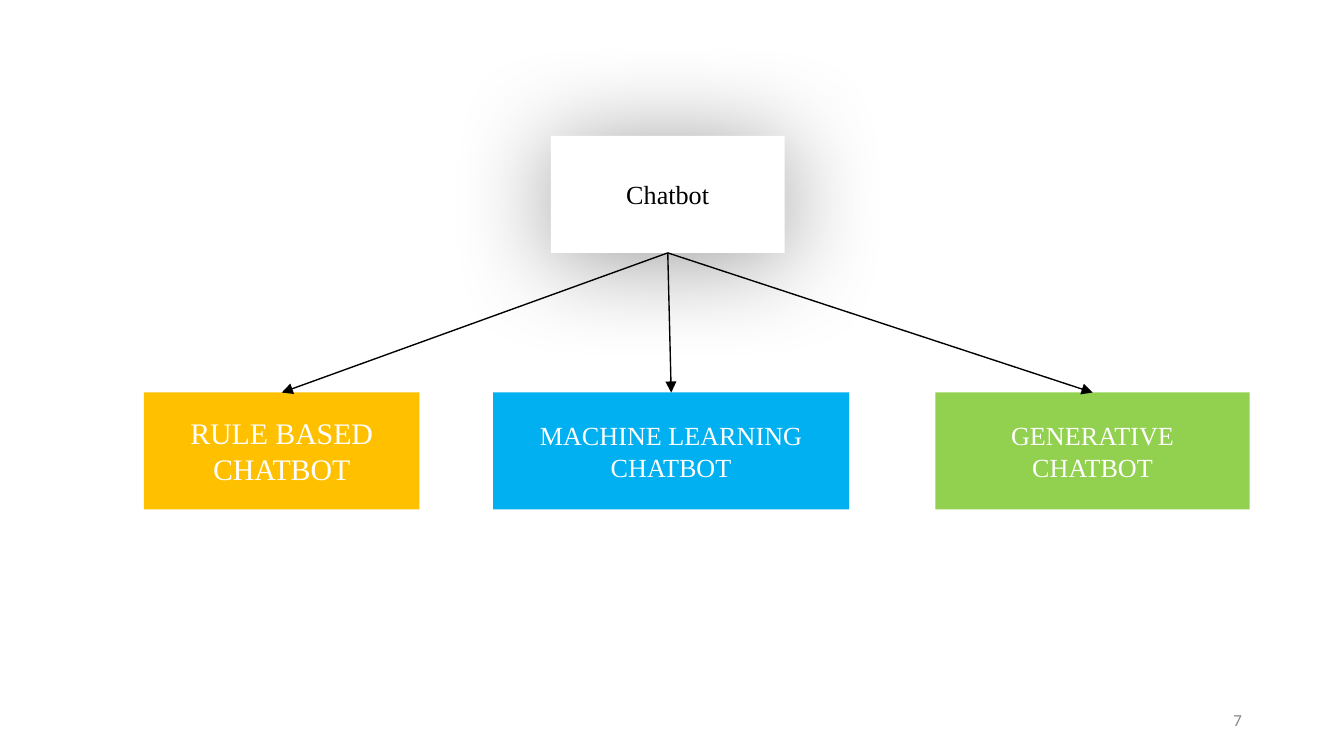
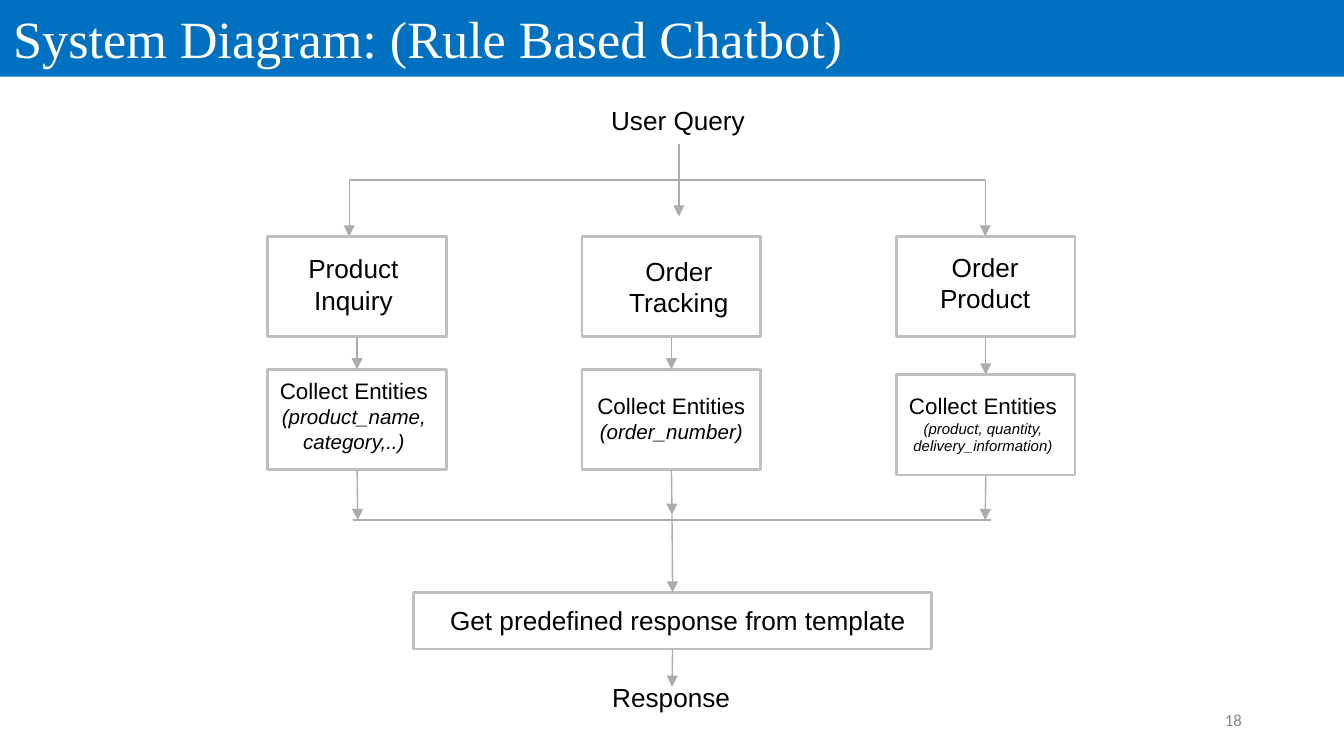
import pptx
import pptx.dml.color
import pptx.enum.shapes
import pptx.enum.text
import pptx.oxml
import pptx.oxml.ns
import pptx.util
from pptx.util import Cm

RGBColor = pptx.dml.color.RGBColor
ALIGN = pptx.enum.text.PP_ALIGN
ANCHOR = pptx.enum.text.MSO_ANCHOR
AUTO_SIZE = pptx.enum.text.MSO_AUTO_SIZE

WHITE = RGBColor(0xFF, 0xFF, 0xFF)
BLACK = RGBColor(0x00, 0x00, 0x00)
BAND_BLUE = RGBColor(0x00, 0x70, 0xC0)
AMBER = RGBColor(0xFF, 0xC0, 0x00)
SKY = RGBColor(0x00, 0xB0, 0xF0)
GREEN = RGBColor(0x92, 0xD0, 0x50)
OUTLINE_GREY = RGBColor(0xBF, 0xBF, 0xBF)
ARROW_GREY = RGBColor(0xAF, 0xAB, 0xAB)
NUMBER_GREY = RGBColor(0x88, 0x88, 0x88)

SERIF = "Times New Roman"
SANS = "Arial"
NUMBER_FONT = "Calibri"

GROWING = {
    "word_wrap": True,
    "vertical_anchor": ANCHOR.TOP,
    "auto_size": AUTO_SIZE.SHAPE_TO_FIT_TEXT,
}
CENTRED = {"word_wrap": True, "vertical_anchor": ANCHOR.MIDDLE}
NUMBER_FRAME = CENTRED | {
    "margin_left": Cm(0.18),
    "margin_right": Cm(0.18),
    "margin_top": Cm(0.1),
    "margin_bottom": Cm(0.1),
}

BOTTOM_SITE = 2
TOP_SITE = 0

COLUMN_LEFT = 5.06
COLUMN_STEP = 5.94
STEP_WIDTH = 3.38
STEP_HEIGHT = 1.9
INTENT_TOP = 4.47
SPLIT_Y = 3.4
MERGE_Y = 9.83
CENTRE_X = 12.7


def apply(target, values):
    for name, value in values.items():
        setattr(target, name, value)


def drawing_element(tag, **attributes):
    element = pptx.oxml.parse_xml(
        f"<a:{tag} {pptx.oxml.ns.nsdecls('a')}/>"
    )
    for name, value in attributes.items():
        element.set(name, value)
    return element


def write(shape, lines, font, colour, align=ALIGN.CENTER, frame=GROWING):
    text_frame = shape.text_frame
    apply(text_frame, frame)
    for index, (words, size, *style) in enumerate(lines):
        para = text_frame.paragraphs[0] if index == 0 else text_frame.add_paragraph()
        para.alignment = align
        span = para.add_run()
        span.text = words
        apply(span.font, {
            "name": font,
            "size": pptx.util.Pt(size),
            "italic": "italic" in style,
        })
        span.font.color.rgb = colour


def add_box(page, left, top, width, height, fill=None, outline=None):
    box = page.shapes.add_shape(
        pptx.enum.shapes.MSO_SHAPE.RECTANGLE,
        Cm(left), Cm(top), Cm(width), Cm(height),
    )
    box.shadow.inherit = False
    if fill is None:
        box.fill.background()
    else:
        box.fill.solid()
        box.fill.fore_color.rgb = fill
    if outline is None:
        box.line.fill.background()
    else:
        box.line.color.rgb = outline
        box.line.width = pptx.util.Pt(1.5)
    return box


def add_step(page, left, top, width=STEP_WIDTH, height=STEP_HEIGHT):
    return add_box(page, left, top, width, height, outline=OUTLINE_GREY)


def add_glow(box):
    shadow = drawing_element(
        "outerShdw",
        blurRad=str(pptx.util.Pt(56)), dist=str(pptx.util.Pt(4)),
        dir="5400000", algn="ctr", rotWithShape="0",
    )
    colour = drawing_element("srgbClr", val=str(BLACK))
    colour.append(drawing_element("alpha", val="40000"))
    shadow.append(colour)
    box._element.spPr.find(pptx.oxml.ns.qn("a:effectLst")).append(shadow)


def add_label(page, left, top, width, height, lines):
    label = page.shapes.add_textbox(Cm(left), Cm(top), Cm(width), Cm(height))
    write(label, lines, SANS, BLACK)


def end_point(end, site):
    if isinstance(end, tuple):
        return Cm(end[0]), Cm(end[1])
    drop = end.height if site == BOTTOM_SITE else 0
    return end.left + end.width // 2, end.top + drop


def add_line(page, start, end, colour=ARROW_GREY, arrow=True):
    line = page.shapes.add_connector(
        pptx.enum.shapes.MSO_CONNECTOR.STRAIGHT,
        *end_point(start, BOTTOM_SITE), *end_point(end, TOP_SITE),
    )
    if not isinstance(start, tuple):
        line.begin_connect(start, BOTTOM_SITE)
    if not isinstance(end, tuple):
        line.end_connect(end, TOP_SITE)
    line.line.color.rgb = colour
    line.line.width = pptx.util.Pt(0.75)
    if arrow:
        line.get_or_add_ln().append(drawing_element("tailEnd", type="triangle"))
    line._element.spPr.append(drawing_element("effectLst"))


def add_title(page, words):
    band = add_box(page, 0, 0, 25.4, 1.45, fill=BAND_BLUE)
    write(band, [(words, 28)], SERIF, WHITE, ALIGN.LEFT)


def add_number(page, number):
    box = page.shapes.add_textbox(Cm(17.93), Cm(13.23), Cm(5.72), Cm(0.76))
    write(box, [(number, 9)], NUMBER_FONT, NUMBER_GREY, ALIGN.RIGHT, NUMBER_FRAME)


def build_types(page):
    root = add_box(page, 10.41, 2.57, 4.42, 2.21, fill=WHITE)
    add_glow(root)
    write(root, [("Chatbot", 14)], SERIF, BLACK, frame=CENTRED)
    kinds = [
        ("RULE BASED CHATBOT", 16, 2.72, 5.21, AMBER),
        ("MACHINE LEARNING CHATBOT", 14, 9.32, 6.73, SKY),
        ("GENERATIVE CHATBOT", 14, 17.68, 5.94, GREEN),
    ]
    for words, size, left, width, fill in kinds:
        kind = add_box(page, left, 7.42, width, 2.21, fill=fill)
        write(kind, [(words, size)], SERIF, WHITE, frame=CENTRED)
        add_line(page, root, kind, BLACK)
    add_number(page, "7")


def build_system(page):
    add_title(page, "System Diagram: (Rule Based Chatbot)")
    add_label(page, 10.59, 1.85, 4.45, 0.86, [("User Query", 14)])
    add_line(page, (12.83, 2.72), (12.83, 4.09))
    add_line(page, (6.6, SPLIT_Y), (18.62, SPLIT_Y), arrow=False)
    for x in (6.6, 18.62):
        add_line(page, (x, SPLIT_Y), (x, INTENT_TOP))

    entity_tops = (6.98, 6.98, 7.08)
    merge_points = ((6.76, MERGE_Y), (CENTRE_X, 9.73), (18.62, MERGE_Y))
    for column, (entity_top, merge) in enumerate(zip(entity_tops, merge_points)):
        left = COLUMN_LEFT + column * COLUMN_STEP
        intent = add_step(page, left, INTENT_TOP)
        entity = add_step(page, left, entity_top)
        add_line(page, intent, entity)
        add_line(page, entity, merge)

    intents = [
        (5.41, 4.65, "Product", "Inquiry"),
        (11.56, 4.7, "Order", "Tracking"),
        (17.35, 4.62, "Order", "Product"),
    ]
    for left, top, *words in intents:
        add_label(page, left, top, 2.54, 1.45, [(word, 14) for word in words])

    entities = [
        (5, 7.01, 1.7, "(product_name, category,..)", 11),
        (11, 7.29, 1.24, "(order_number)", 11),
        (16.89, 7.29, 1.45, "(product, quantity, delivery_information)", 8),
    ]
    for left, top, height, words, size in entities:
        lines = [("Collect Entities", 12), (words, size, "italic")]
        add_label(page, left, top, STEP_WIDTH, height, lines)

    add_line(page, (6.68, MERGE_Y), (18.72, MERGE_Y), arrow=False)
    template = add_step(page, 7.82, 11.2, 9.78, 1.07)
    add_label(page, 7.52, 11.3, 10.59, 0.86,
              [("Get predefined response from template", 14)])
    add_line(page, (CENTRE_X, 9.73), template)
    add_line(page, template, (CENTRE_X, 12.98))
    add_label(page, 10.46, 12.75, 4.45, 0.86, [("Response", 14)])
    add_number(page, "18")


def main():
    deck = pptx.Presentation()
    deck.slide_width = Cm(25.4)
    deck.slide_height = Cm(14.29)
    blank = deck.slide_layouts[6]
    for build in (build_types, build_system):
        build(deck.slides.add_slide(blank))
    deck.save("out.pptx")


if __name__ == "__main__":
    main()
